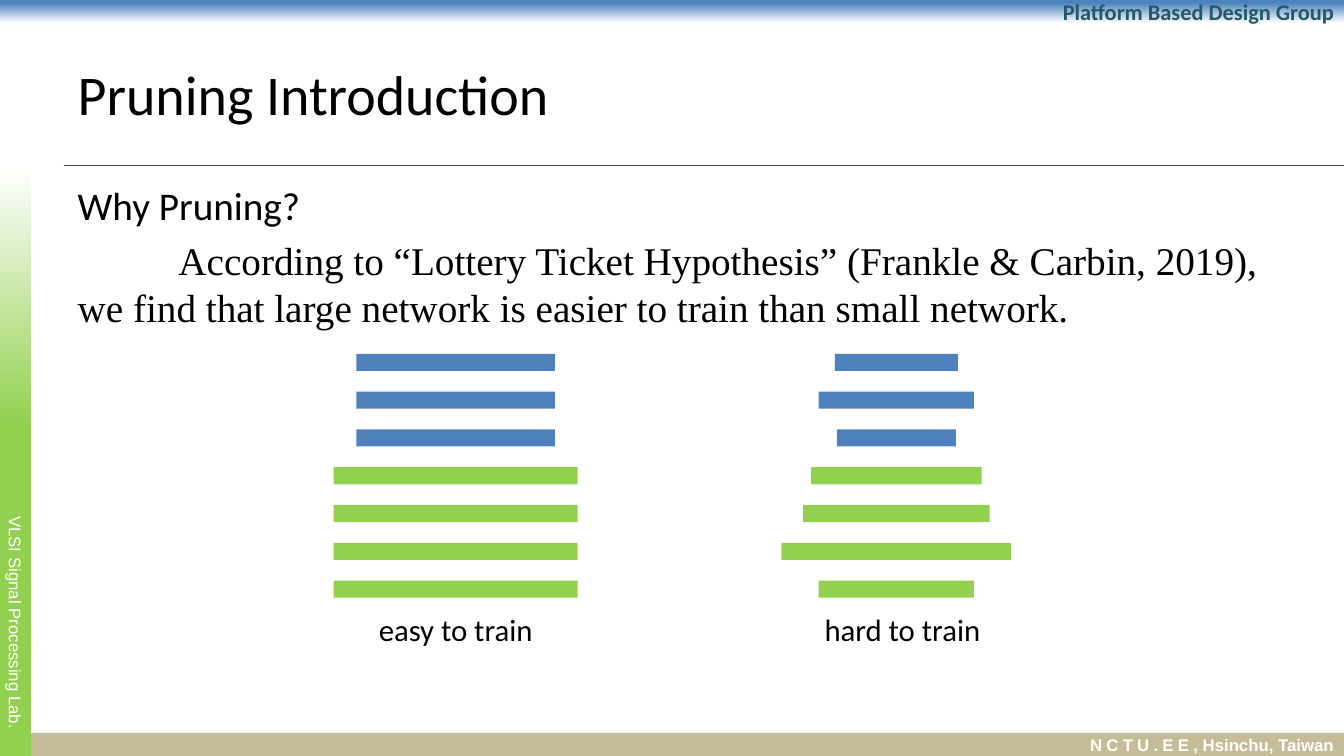
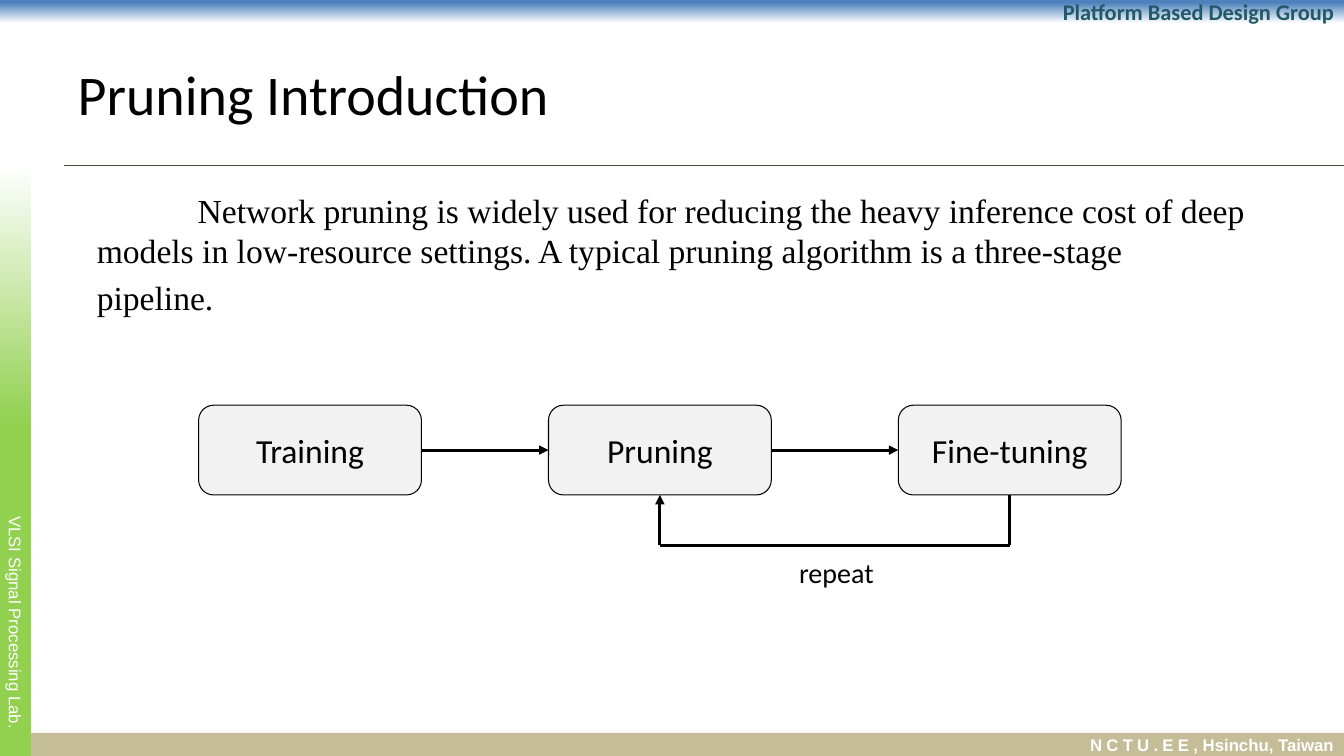
from itertools import pairwise

from lxml.etree import SubElement
from pptx import Presentation
from pptx.dml.color import RGBColor
from pptx.enum.shapes import MSO_CONNECTOR, MSO_SHAPE
from pptx.enum.text import MSO_ANCHOR, MSO_AUTO_SIZE, PP_ALIGN
from pptx.oxml.ns import qn
from pptx.util import Inches, Pt

BLUE, GREEN, TAN, TEAL = "4F81BD", "92D050", "C4BD97", "215968"
BLACK, WHITE, RULE, PALE = "000000", "FFFFFF", "4A452A", "F2F2F2"
SERIF = "Times New Roman"
SLIDE_WIDTH, SLIDE_HEIGHT = 13.33, 7.5
BAND, SIDE_WIDTH, RULE_TOP = 0.23, 0.31, 1.64
TITLE_BOX = (0.67, 0.3, 12, 1.25)
BAR_TOP, BAR_LAST, BAR_HEIGHT = 3.51, 5.76, 0.17
BAR_COLORS = [BLUE] * 3 + [GREEN] * 4
STAGE_LEFT, STAGE_TOP, STAGE_WIDTH, STAGE_HEIGHT, STAGE_PITCH = 1.97, 4.02, 2.21, 0.89, 3.47
LOOP_BOTTOM = 5.41


def color(value):
    """Turn a hex string into a colour."""
    return RGBColor.from_string(value)


def place(shape, box):
    """Move a shape to a box given in inches."""
    shape.left, shape.top, shape.width, shape.height = map(Inches, box)


def write(frame, text, size=24, font="Calibri", ink=BLACK, bold=False,
          align=PP_ALIGN.LEFT, before=0, indent=0, spacing=0, same_line=False):
    """Add a formatted run, in a new paragraph unless same_line is set."""
    paragraph = frame.paragraphs[-1]
    if not same_line:
        if paragraph.runs:
            paragraph = frame.add_paragraph()
        paragraph.alignment = align
        paragraph.space_before = Pt(before)
        properties = paragraph._p.get_or_add_pPr()
        properties.set("marL", "0")
        properties.set("indent", str(Inches(indent)))
        SubElement(properties, qn("a:buNone"))
    run = paragraph.add_run()
    run.text = text
    run.font.size, run.font.name, run.font.bold = Pt(size), font, bold
    run.font.color.rgb = color(ink)
    if spacing:
        run._r.get_or_add_rPr().set("spc", str(spacing * 100))


def set_insets(frame, left=0.1, top=0.0, right=0.1, bottom=0.0):
    """Set the text margins in inches."""
    frame.margin_left, frame.margin_top = Inches(left), Inches(top)
    frame.margin_right, frame.margin_bottom = Inches(right), Inches(bottom)


def add_box(slide, box, fill=None, outline=None, kind=MSO_SHAPE.RECTANGLE):
    """Add a flat shape with centred text and an optional thin outline."""
    shape = slide.shapes.add_shape(kind, *map(Inches, box))
    shape.shadow.inherit = False
    shape.text_frame.vertical_anchor = MSO_ANCHOR.MIDDLE
    if fill:
        shape.fill.solid()
        shape.fill.fore_color.rgb = color(fill)
    if outline:
        shape.line.color.rgb = color(outline)
        shape.line.width = Pt(0.75)
    else:
        shape.line.fill.background()
    return shape


def fade_to_white(shape, start, position, angle):
    """Fill a shape with a gradient from a colour to white."""
    shape.fill.gradient()
    shape.fill.gradient_angle = angle
    stops = zip(shape.fill.gradient_stops, (position, 1), (start, WHITE))
    for stop, offset, value in stops:
        stop.position = offset
        stop.color.rgb = color(value)


def add_line(slide, start, end, ink=BLACK, width=2.25, arrow=False):
    """Add a straight line, with an arrowhead at its end if asked."""
    line = slide.shapes.add_connector(
        MSO_CONNECTOR.STRAIGHT, *map(Inches, (*start, *end)))
    line.line.color.rgb = color(ink)
    line.line.width = Pt(width)
    if arrow:
        SubElement(line.line._get_or_add_ln(), qn("a:tailEnd"), type="triangle")
    SubElement(line.element.spPr, qn("a:effectLst"))
    return line


def add_caption(slide, text, box, size):
    """Add a centred caption."""
    frame = slide.shapes.add_textbox(*map(Inches, box)).text_frame
    frame.word_wrap = True
    write(frame, text, size=size, align=PP_ALIGN.CENTER, before=size * 0.2)


def add_content_slide(presentation, title, body_box):
    """Add a titled slide and return it with its body text frame."""
    slide = presentation.slides.add_slide(presentation.slide_layouts[1])
    write(slide.shapes.title.text_frame, title, size=40)
    body = slide.placeholders[1]
    place(body, body_box)
    body.text_frame.auto_size = MSO_AUTO_SIZE.NONE
    return slide, body.text_frame


def prepare_layout(layout):
    """Place the layout title and remove the unused footer placeholders."""
    for placeholder in list(layout.placeholders):
        if placeholder.placeholder_format.idx >= 10:
            layout.shapes.element.remove(placeholder.element)
    place(layout.placeholders[0], TITLE_BOX)
    layout.placeholders[0].text_frame.vertical_anchor = MSO_ANCHOR.MIDDLE


def decorate_layout(slide, layout):
    """Draw the bands and the title rule, then move them to the layout."""
    header = add_box(slide, (0, 0, SLIDE_WIDTH, BAND))
    fade_to_white(header, BLUE, 0.12, 270)
    set_insets(header.text_frame)
    write(header.text_frame, "Platform Based Design Group", size=16, ink=TEAL,
          bold=True, align=PP_ALIGN.RIGHT)

    footer = add_box(slide, (0, SLIDE_HEIGHT - BAND, SLIDE_WIDTH, BAND), TAN)
    set_insets(footer.text_frame)
    small = {"size": 12, "font": "Arial", "ink": WHITE}
    write(footer.text_frame, "NCTU.EE", bold=True, align=PP_ALIGN.RIGHT,
          spacing=3, **small)
    write(footer.text_frame, ", Hsinchu, Taiwan", bold=True, same_line=True, **small)

    side = add_box(slide, (0, RULE_TOP, SIDE_WIDTH, SLIDE_HEIGHT - RULE_TOP))
    fade_to_white(side, GREEN, 0.56, 90)
    set_insets(side.text_frame, top=3.31, bottom=0.05)
    side.text_frame._txBody.bodyPr.set("vert", "vert")
    write(side.text_frame, "VLSI Signal Processing Lab.", align=PP_ALIGN.CENTER, **small)

    rule = add_line(slide, (0.63, RULE_TOP), (SLIDE_WIDTH, RULE_TOP), RULE, 1)
    for shape in (header, footer, side, rule):
        layout.shapes.element.append(shape.element)


def add_network(slide, center, widths):
    """Draw a network as a stack of centred bars."""
    pitch = (BAR_LAST - BAR_TOP) / (len(widths) - 1)
    for row, (width, fill) in enumerate(zip(widths, BAR_COLORS)):
        add_box(slide, (center - width / 2, BAR_TOP + row * pitch, width, BAR_HEIGHT), fill)


def add_pipeline(slide, names):
    """Draw the stages, the arrows between them and the repeat loop."""
    stages = []
    for column, name in enumerate(names):
        box = (STAGE_LEFT + column * STAGE_PITCH, STAGE_TOP, STAGE_WIDTH, STAGE_HEIGHT)
        stage = add_box(slide, box, PALE, BLACK, MSO_SHAPE.ROUNDED_RECTANGLE)
        write(stage.text_frame, name, align=PP_ALIGN.CENTER)
        stages.append(stage)
    for left, right in pairwise(stages):
        arrow = add_line(slide, (0, 0), (1, 0), arrow=True)
        arrow.begin_connect(left, 3)
        arrow.end_connect(right, 1)

    loop_left, loop_right = (
        STAGE_LEFT + column * STAGE_PITCH + STAGE_WIDTH / 2 for column in (1, 2))
    stage_bottom = STAGE_TOP + STAGE_HEIGHT
    corners = [(loop_right, stage_bottom), (loop_right, LOOP_BOTTOM),
               (loop_left, LOOP_BOTTOM), (loop_left, stage_bottom)]
    for start, end in pairwise(corners):
        add_line(slide, start, end, arrow=end == corners[-1])


def add_why_slide(presentation):
    """Build the slide that compares a large and a small network."""
    slide, body = add_content_slide(
        presentation, "Pruning Introduction", (0.67, 1.75, 12.08, 4.95))
    write(body, "Why Pruning?", size=28, before=5.6)
    write(body, "According to “Lottery Ticket Hypothesis” (Frankle & Carbin, 2019), "
          "we find that large network is easier to train than small network.",
          size=28, font=SERIF, before=5.6, indent=1)
    add_network(slide, 4.52, [1.97] * 3 + [2.42] * 4)
    add_network(slide, 8.89, [1.22, 1.54, 1.18, 1.69, 1.85, 2.28, 1.54])
    add_caption(slide, "easy to train", (3.61, 6.01, 1.82, 0.47), 22)
    add_caption(slide, "hard to train", (8.04, 6.01, 1.82, 0.47), 22)
    return slide


def add_pipeline_slide(presentation):
    """Build the slide with the three-stage pipeline."""
    slide, body = add_content_slide(
        presentation, "Pruning Introduction", (0.86, 1.83, 11.65, 4.79))
    write(body, "Network pruning is widely used for reducing the heavy inference cost "
          "of deep models in low-resource settings. A typical pruning algorithm is "
          "a three-stage", font=SERIF, before=4.8, indent=1)
    write(body, "pipeline.", font=SERIF, before=4.8)
    add_pipeline(slide, ["Training", "Pruning", "Fine-tuning"])
    add_caption(slide, "repeat", (7.6, 5.46, 1.39, 0.56), 20)


def main():
    """Build and save the presentation."""
    presentation = Presentation()
    presentation.slide_width = Inches(SLIDE_WIDTH)
    presentation.slide_height = Inches(SLIDE_HEIGHT)
    layout = presentation.slide_layouts[1]
    prepare_layout(layout)
    first_slide = add_why_slide(presentation)
    decorate_layout(first_slide, layout)
    add_pipeline_slide(presentation)
    presentation.save("out.pptx")


if __name__ == "__main__":
    main()
